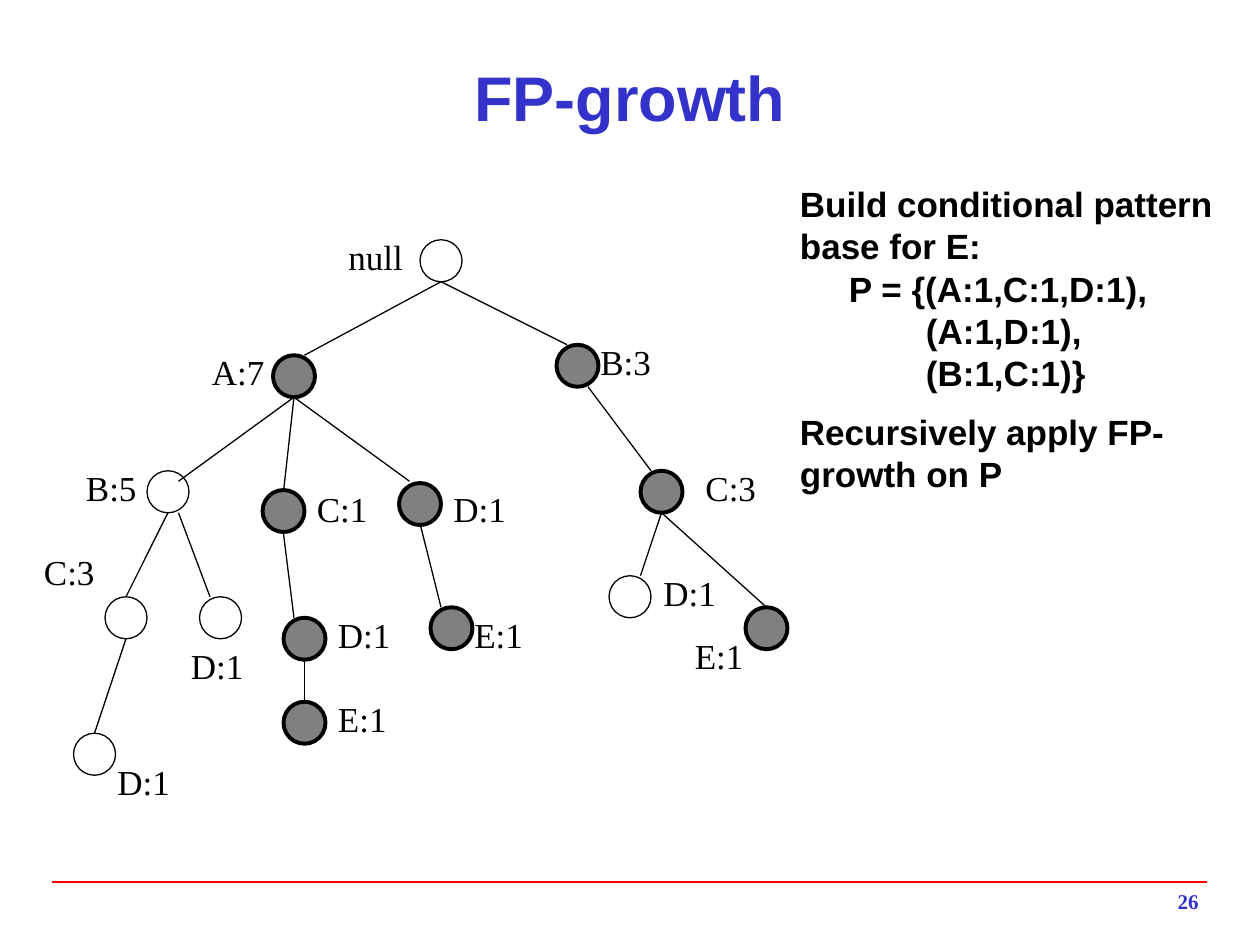
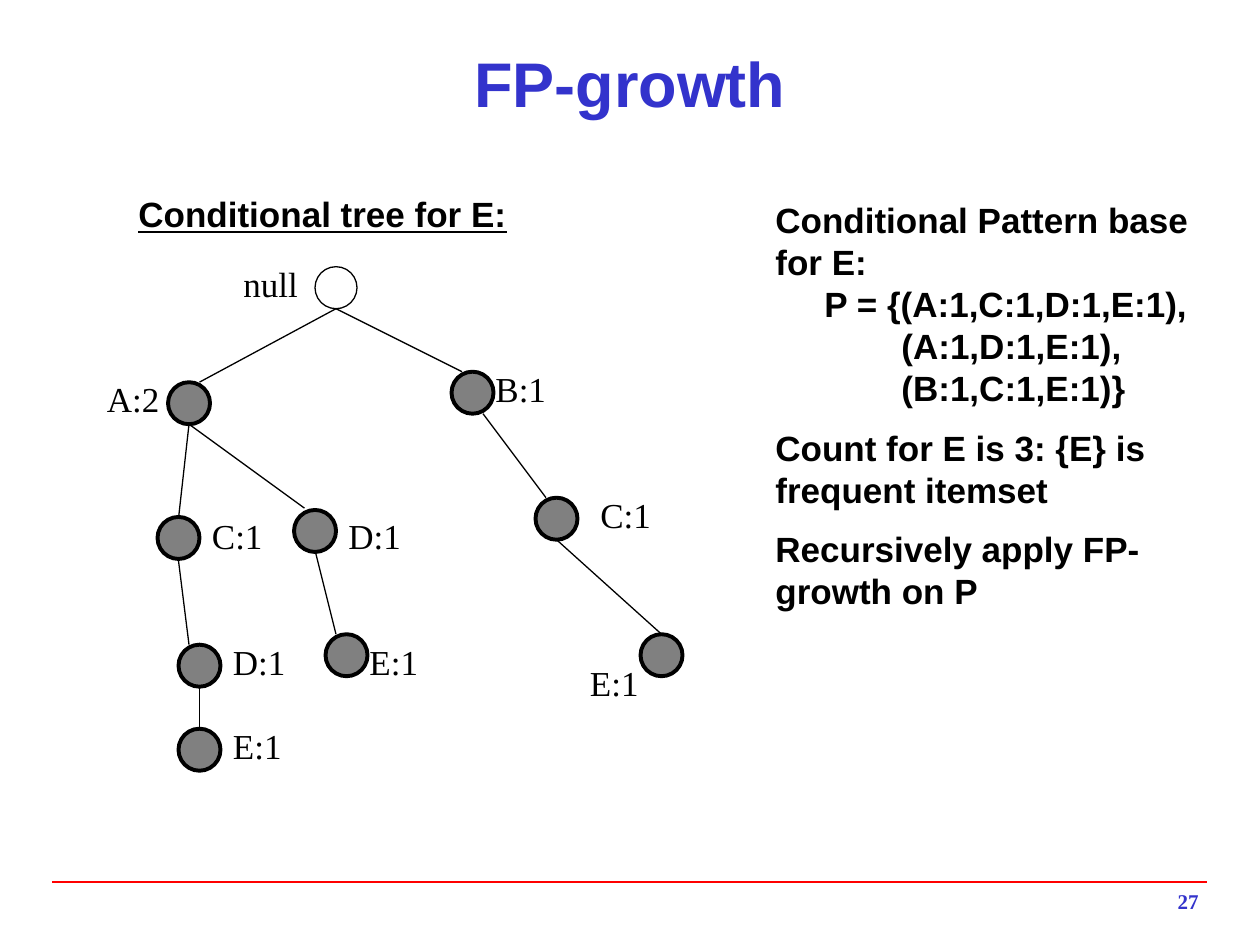
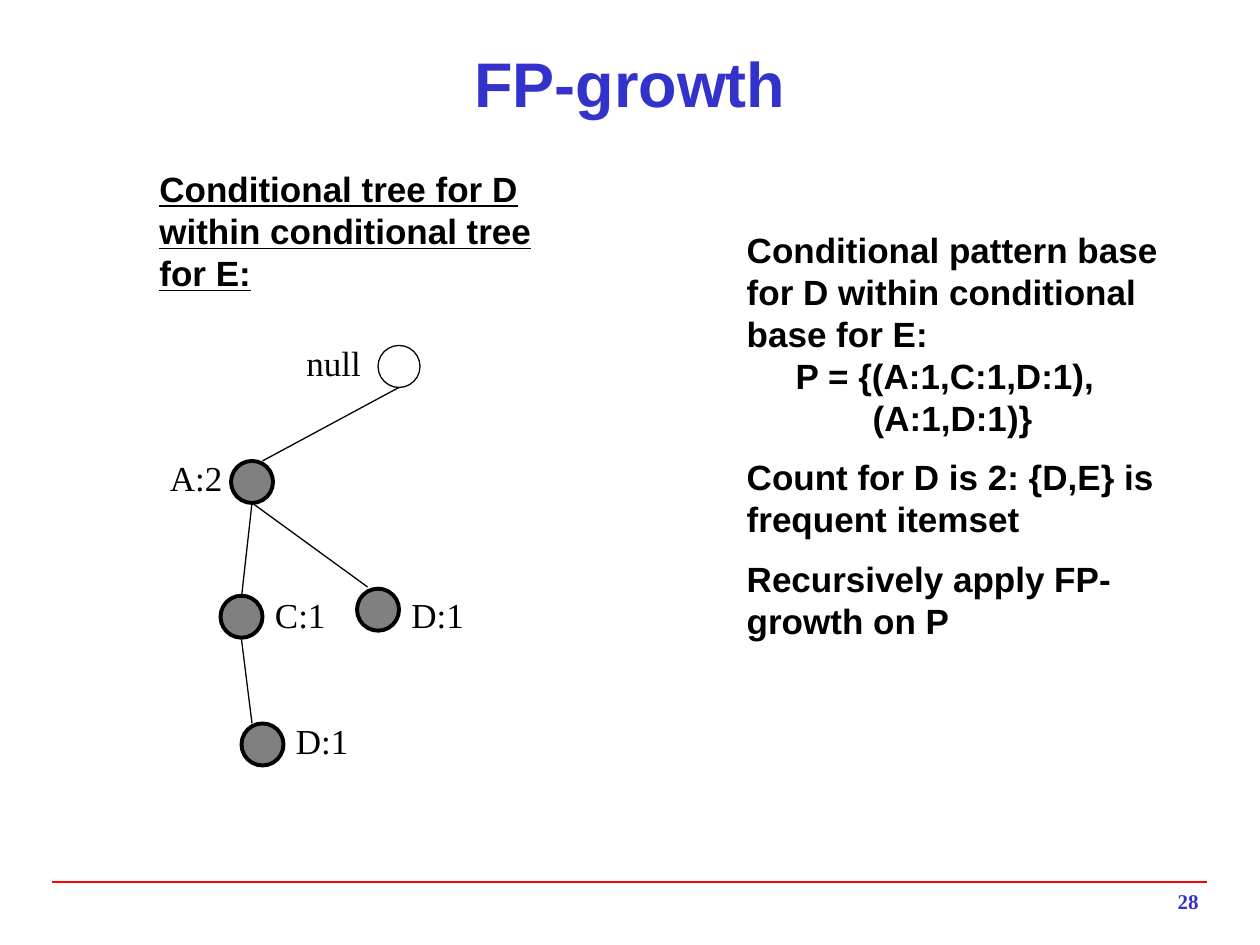
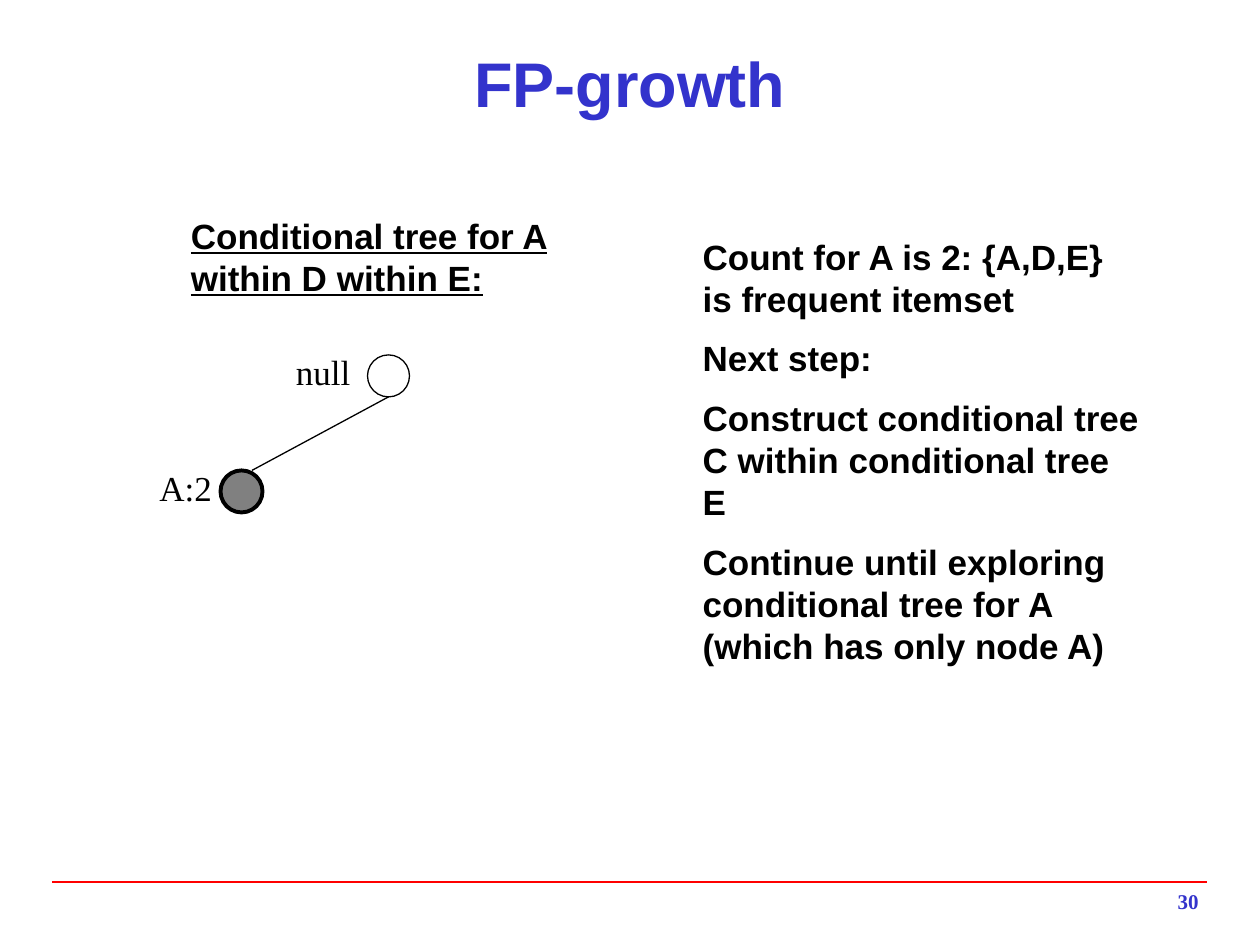
from dataclasses import dataclass

from lxml import etree
from pptx import Presentation
from pptx.dml.color import RGBColor
from pptx.enum.shapes import MSO_CONNECTOR, MSO_SHAPE
from pptx.enum.text import MSO_ANCHOR, PP_ALIGN
from pptx.oxml.ns import qn
from pptx.util import Pt

OVAL = MSO_SHAPE.OVAL
STRAIGHT = MSO_CONNECTOR.STRAIGHT
MIDDLE = MSO_ANCHOR.MIDDLE
LEFT, CENTER, RIGHT = PP_ALIGN.LEFT, PP_ALIGN.CENTER, PP_ALIGN.RIGHT

BLACK = RGBColor(0x00, 0x00, 0x00)
GRAY = RGBColor(0x80, 0x80, 0x80)
BLUE = RGBColor(0x33, 0x33, 0xCC)
RED = RGBColor(0xFF, 0x00, 0x00)
SANS, SERIF = "Arial", "Times New Roman"

DIAMETER = 24
BODY_SIZE = 20
BODY_LEADING = 24
PATTERN_TABS = (28, 72)


@dataclass
class Node:
    """A tree node, with its circle, label and edge measured from the root circle."""
    circle: tuple
    label: tuple
    edge: tuple = None
    on_path: bool = True
    label_width: float = 48


ROOT_FOOT, A_FOOT, C_FOOT = (12, 24), (-72, 90), (138, 156)
NODES = {
    "null": Node((0, 0), (-48, -6), on_path=False),
    "A": Node((-84, 66), (-126, 60), (ROOT_FOOT, (-66, 66))),
    "B": Node((78, 60), (96, 54), (ROOT_FOOT, (84, 60))),
    "AB": Node((-156, 132), (-198, 126), (A_FOOT, (-138, 138)), False),
    "AC": Node((-90, 143), (-66, 138), (A_FOOT, (-78, 144))),
    "AD": Node((-12, 139), (12, 138), (A_FOOT, (-6, 138))),
    "BC": Node((126, 132), (156, 126), ((96, 84), (132, 132))),
    "ABC": Node((-180, 204), (-222, 174), ((-144, 156), (-168, 204)), False),
    "ABD": Node((-126, 204), (-138, 228), ((-138, 156), (-120, 204)), False),
    "ACD": Node((-78, 216), (-54, 210), ((-78, 168), (-72, 216))),
    "ADE": Node((6, 210), (24, 210), ((0, 162), (12, 210))),
    "BCD": Node((108, 192), (132, 186), (C_FOOT, (126, 192)), False),
    "BCE": Node((186, 210), (150, 222), (C_FOOT, (198, 210)), label_width=60),
    "ABCD": Node((-198, 282), (-180, 294), ((-168, 228), (-186, 282)), False),
    "ACDE": Node((-78, 264), (-54, 258), ((-66, 240), (-66, 264))),
}


@dataclass
class Step:
    """The content of one slide and where its regions stand."""
    page: str
    title_top: float
    root: tuple
    counts: dict
    pattern_box: tuple
    patterns: list
    heading_box: tuple = None
    heading: str = None


RECURSE = ["Recursively apply FP-growth on P"]
STEPS = [
    Step("26", 30, (240, 137),
         {"A": 7, "B": 3, "AB": 5, "AC": 1, "AD": 1, "BC": 3, "ABC": 3, "ABD": 1,
          "ACD": 1, "ADE": 1, "BCD": 1, "BCE": 1, "ABCD": 1, "ACDE": 1},
         (450, 101, 264, 223),
         [["Build conditional pattern base for E:", "\tP = {(A:1,C:1,D:1),",
           "\t\t(A:1,D:1),", "\t\t(B:1,C:1)}"], RECURSE]),
    Step("27", 21.6, (180, 152.4),
         {"A": 2, "B": 1, "AC": 1, "AD": 1, "BC": 1, "ACD": 1, "ADE": 1, "BCE": 1,
          "ACDE": 1},
         (436, 110, 264, 283),
         [["Conditional Pattern base for E:", "\tP = {(A:1,C:1,D:1,E:1),",
           "\t\t(A:1,D:1,E:1),", "\t\t(B:1,C:1,E:1)}"],
          ["Count for E is 3: {E} is frequent itemset"], RECURSE],
         (72, 106.6, 240, 31), "Conditional tree for E:"),
    Step("28", 21.6, (216, 197.4),
         {"A": 2, "AC": 1, "AD": 1, "ACD": 1},
         (419.6, 126.8, 264, 283),
         [["Conditional pattern base for D within conditional base for E:",
           "\tP = {(A:1,C:1,D:1),", "\t\t(A:1,D:1)}"],
          ["Count for D is 2: {D,E} is frequent itemset"], RECURSE],
         (84, 92.2, 240, 79), "Conditional tree for D within conditional tree for E:"),
    Step("30", 21.6, (210, 202.8), {"A": 2},
         (394.4, 131, 264, 295),
         [["Count for A is 2: {A,D,E} is frequent itemset"], ["Next step:"],
          ["Construct conditional tree C within conditional tree E"],
          ["Continue until exploring conditional tree for A (which has only node A)"]],
         (102, 119, 240, 55), "Conditional tree for A within D within E:"),
]


def points(*lengths):
    """Return the lengths as Pt values."""
    return [Pt(length) for length in lengths]


def style(run, font_name, size, color=BLACK, bold=False, underline=False):
    """Format one run."""
    font = run.font
    font.name, font.size, font.bold = font_name, Pt(size), bold
    font.underline = underline
    font.color.rgb = color


def add_text(slide, box, paragraphs, font_name, size=BODY_SIZE, leading=BODY_LEADING,
             align=LEFT, tabs=(), **look):
    """Add a wrapped text box from paragraphs, each a list of lines."""
    frame = slide.shapes.add_textbox(*points(*box)).text_frame
    frame.word_wrap = True
    for index, lines in enumerate(paragraphs):
        paragraph = frame.add_paragraph() if index else frame.paragraphs[0]
        if tabs and len(lines) > 1:
            stops = etree.SubElement(paragraph._p.get_or_add_pPr(), qn("a:tabLst"))
            for stop in tabs:
                etree.SubElement(stops, qn("a:tab"), pos=str(Pt(stop)), algn="l")
        paragraph.alignment = align
        paragraph.line_spacing = Pt(leading)
        paragraph.space_before = Pt(size / 2 if index else 0)
        for row, line in enumerate(lines):
            if row:
                paragraph.add_line_break()
            run = paragraph.add_run()
            run.text = line
            style(run, font_name, size, **look)


def add_line(slide, start, end, color, width):
    """Draw a straight line without a shadow."""
    line = slide.shapes.add_connector(STRAIGHT, *points(*start, *end))
    line.line.color.rgb = color
    line.line.width = Pt(width)
    etree.SubElement(line._element.spPr, qn("a:effectLst"))


def add_frame(slide, title_top, page):
    """Place the title, the footer rule and the page number."""
    title = slide.shapes.title
    title.left, title.top, title.width, title.height = points(36, title_top, 648, 50.4)
    title.text_frame.vertical_anchor = MIDDLE
    paragraph = title.text_frame.paragraphs[0]
    paragraph.alignment = CENTER
    run = paragraph.add_run()
    run.text = "FP-growth"
    style(run, SANS, 36, BLUE, bold=True)
    add_line(slide, (30, 504), (690, 504), RED, 1)
    add_text(slide, (542, 504, 150, 22), [[page]], SERIF, 12, 14.4, RIGHT,
             color=BLUE, bold=True)


def add_tree(slide, root, counts):
    """Draw the root and the counted nodes around the root position."""
    def place(offset):
        """Move an offset from the root onto the slide."""
        return root[0] + offset[0], root[1] + offset[1]

    labels = {"null": "null"}
    labels.update({key: f"{key[-1]}:{count}" for key, count in counts.items()})
    for key in labels:
        node = NODES[key]
        circle = slide.shapes.add_shape(
            OVAL, *points(*place(node.circle), DIAMETER, DIAMETER))
        circle.shadow.inherit = False
        circle.line.color.rgb = BLACK
        circle.line.width = Pt(2.25 if node.on_path else 0.75)
        if node.on_path:
            circle.fill.solid()
            circle.fill.fore_color.rgb = GRAY
        else:
            circle.fill.background()
    for key, label in labels.items():
        node = NODES[key]
        if node.edge:
            add_line(slide, *map(place, node.edge), BLACK, 0.75)
        add_text(slide, (*place(node.label), node.label_width, 31), [[label]], SERIF)


def add_step(deck, step):
    """Build one slide of the mining sequence."""
    slide = deck.slides.add_slide(deck.slide_layouts[5])
    add_frame(slide, step.title_top, step.page)
    add_tree(slide, step.root, step.counts)
    add_text(slide, step.pattern_box, step.patterns, SANS, tabs=PATTERN_TABS, bold=True)
    if step.heading:
        add_text(slide, step.heading_box, [[step.heading]], SANS, bold=True,
                 underline=True)


def main():
    """Build and save the deck."""
    deck = Presentation()
    deck.slide_width, deck.slide_height = points(720, 540)
    for step in STEPS:
        add_step(deck, step)
    deck.save("out.pptx")


if __name__ == "__main__":
    main()
